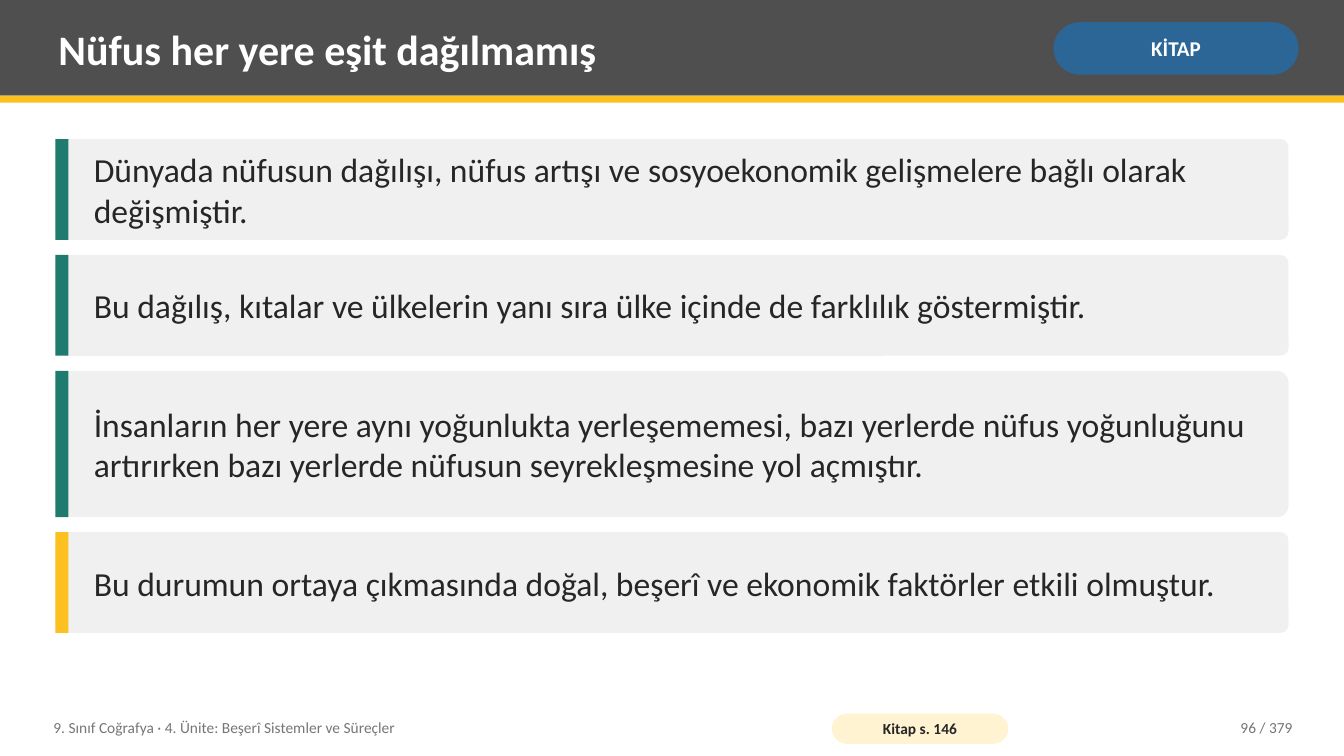
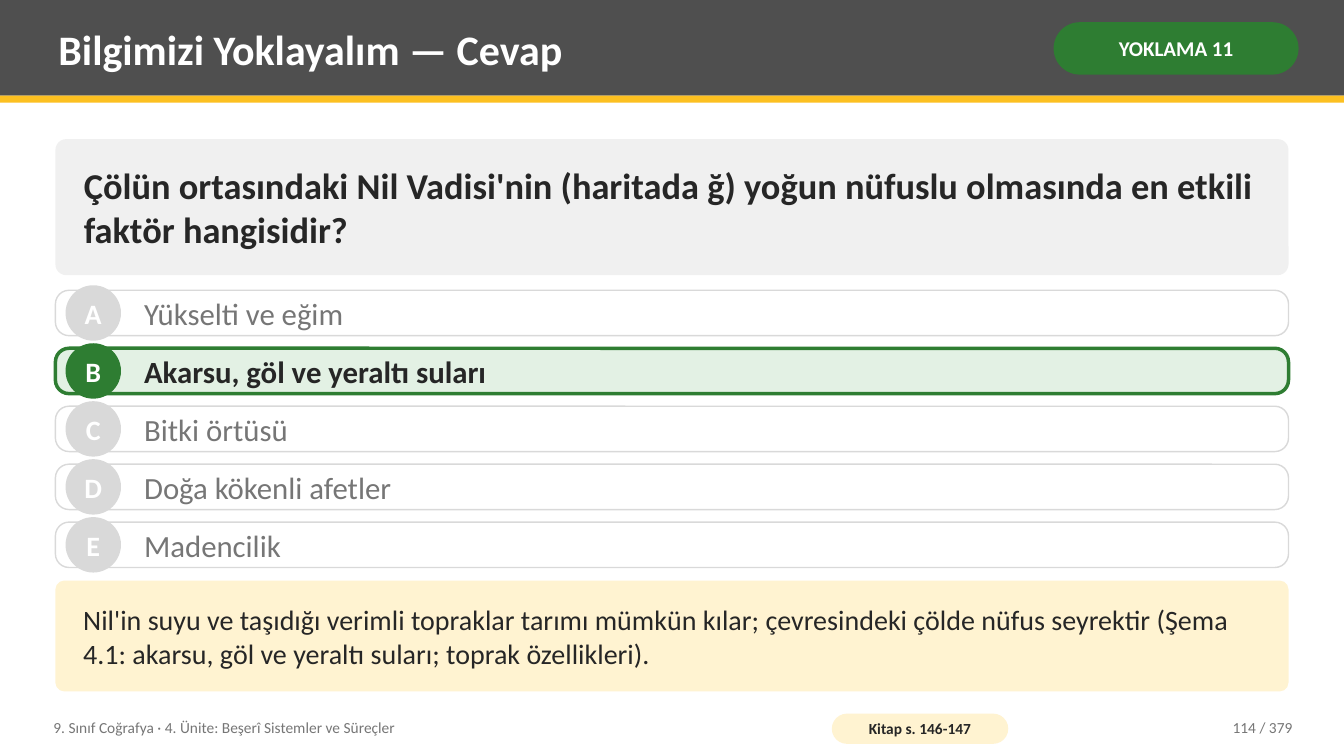
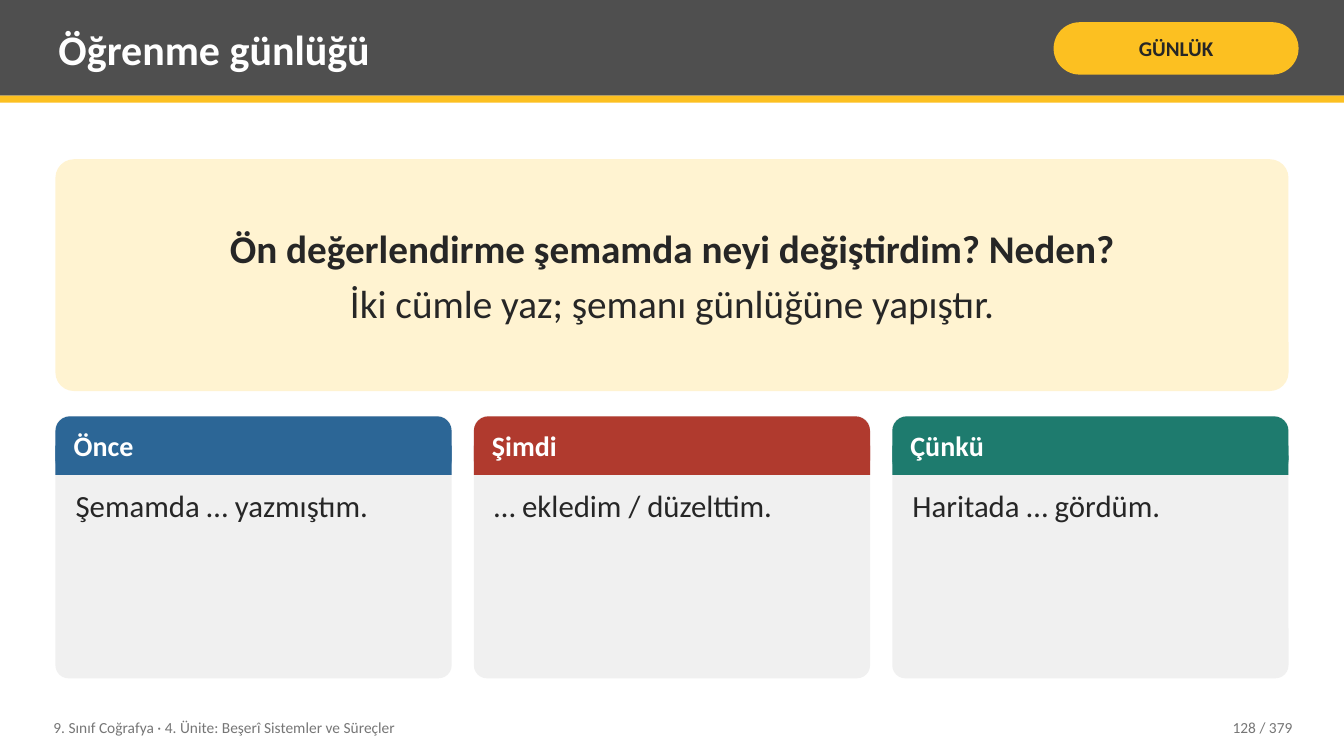
import pptx
import pptx.util
import pptx.dml.color
import pptx.enum.shapes
import pptx.enum.text

Inches, Pt = pptx.util.Inches, pptx.util.Pt
Kind = pptx.enum.shapes.MSO_SHAPE
Align = pptx.enum.text.PP_ALIGN
Anchor = pptx.enum.text.MSO_ANCHOR

WIDE, HIGH = 13.33, 7.5
LEFT, SPAN = 0.55, 12.23
FONT = "Calibri"
DARK, INK, MUTED, PALE = "4F4F4F", "262626", "767676", "F0F0F0"
WHITE, GREY, GOLD, CREAM = "FFFFFF", "D9D9D9", "FCC021", "FFF3D1"
BLUE, GREEN, MINT, TEAL, RED = "2C6696", "2E7D32", "E3F1E4", "1E7B6E", "B03A2E"
UNIT = "9. Sınıf Coğrafya · 4. Ünite: Beşerî Sistemler ve Süreçler"
TOTAL = 379


def paint(target, color):
    """Give a fill or line format a solid colour."""
    target.solid()
    target.fore_color.rgb = pptx.dml.color.RGBColor.from_string(color)


def apply(target, values):
    for name, value in values.items():
        setattr(target, name, value)


def place(at):
    return [Inches(n) for n in at]


def write(shape, lines, size, color=INK, bold=False, align=Align.LEFT,
          anchor=Anchor.MIDDLE, pad=(0.08, 0.04), wrap=True, after=0):
    """Fill a shape with text; each line is a string or a (string, bold) pair."""
    frame = shape.text_frame
    across, down = place(pad)
    apply(frame, {"margin_left": across, "margin_right": across,
                  "margin_top": down, "margin_bottom": down,
                  "word_wrap": wrap, "vertical_anchor": anchor})
    lines = [lines] if isinstance(lines, str) else lines
    for i, line in enumerate(lines):
        words, heavy = (line, bold) if isinstance(line, str) else line
        para = frame.paragraphs[0] if i == 0 else frame.add_paragraph()
        para.alignment = align
        if i < len(lines) - 1:
            para.space_after = Pt(after)
        run = para.add_run()
        run.text = words
        apply(run.font, {"name": FONT, "size": Pt(size), "bold": heavy})
        paint(run.font.fill, color)


def label(slide, at, lines, size, **style):
    write(slide.shapes.add_textbox(*place(at)), lines, size, **style)


def block(slide, at, fill, kind=Kind.RECTANGLE, round=None, line=None):
    """Draw a preset shape; round is its corner share, line is (colour, width)."""
    if round is not None:
        kind = Kind.ROUNDED_RECTANGLE
    shape = slide.shapes.add_shape(kind, *place(at))
    shape.shadow.inherit = False
    if round is not None:
        shape.adjustments[0] = round
    paint(shape.fill, fill)
    if line:
        paint(shape.line.fill, line[0])
        shape.line.width = Pt(line[1])
    else:
        shape.line.fill.background()
    return shape


def pill(slide, at, fill, text, size, color, pad):
    write(block(slide, at, fill, round=0.5), text, size, color=color,
          bold=True, align=Align.CENTER, pad=pad)


def start(deck, title, tag, fill, color=WHITE):
    """Add a slide with the title band and its tag."""
    slide = deck.slides.add_slide(deck.slide_layouts[6])
    paint(slide.background.fill, WHITE)
    block(slide, (0, 0, WIDE, 0.95), DARK)
    block(slide, (0, 0.95, WIDE, 0.07), GOLD)
    label(slide, (0.5, 0.07, 9.75, 0.82), title, 30, color=WHITE, bold=True)
    pill(slide, (10.45, 0.22, 2.43, 0.52), fill, tag, 15, color, (0.05, 0.02))
    return slide


def finish(slide, number, pages=None):
    """Add the footer, with the book pages if there are any."""
    label(slide, (0.45, 7.04, 7.6, 0.36), UNIT, 11, color=MUTED)
    if pages:
        pill(slide, (8.25, 7.08, 1.75, 0.3), CREAM, f"Kitap s. {pages}", 11,
             INK, (0.04, 0))
    label(slide, (11.3, 7.04, 1.6, 0.36), f"{number} / {TOTAL}", 11,
          color=MUTED, align=Align.RIGHT)


def panel(slide, top, high, fill, lines, size, **style):
    """Draw a full-width rounded box that holds text."""
    write(block(slide, (LEFT, top, SPAN, high), fill, round=0.08),
          lines, size, **style)


def point(slide, top, high, accent, text):
    block(slide, (LEFT, top, SPAN, high), PALE, round=0.08)
    block(slide, (LEFT, top, 0.13, high), accent)
    label(slide, (LEFT + 0.3, top, SPAN - 0.45, high), text, 24)


def choice(slide, top, letter, text, right):
    high, dot = 0.45, 0.55
    accent = GREEN if right else GREY
    block(slide, (LEFT, top, SPAN, high), MINT if right else WHITE, round=0.3,
          line=(accent, 2.5 if right else 1))
    disc = block(slide, (LEFT + 0.1, top - (dot - high) / 2, dot, dot), accent,
                 kind=Kind.OVAL)
    write(disc, letter, 20, color=WHITE, bold=True, align=Align.CENTER,
          pad=(0, 0), wrap=False)
    label(slide, (LEFT + 0.8, top, SPAN - 1, high), text, 22,
          color=INK if right else MUTED, bold=right)


def card(slide, left, wide, color, head, body):
    top, high, cap = 4.13, 2.6, 0.58
    block(slide, (left, top, wide, high), PALE, round=0.05)
    block(slide, (left, top, wide, cap), color, round=0.25)
    block(slide, (left, top + cap / 2, wide, cap / 2), color)
    label(slide, (left + 0.1, top, wide - 0.2, cap), head, 20, color=WHITE,
          bold=True)
    label(slide, (left + 0.12, top + cap + 0.08, wide - 0.24, high - cap - 0.16),
          body, 22, anchor=Anchor.TOP)


def spread(deck):
    slide = start(deck, "Nüfus her yere eşit dağılmamış", "KİTAP", BLUE)
    top = 1.38
    for high, accent, text in (
        (1, TEAL, "Dünyada nüfusun dağılışı, nüfus artışı ve sosyoekonomik "
                  "gelişmelere bağlı olarak değişmiştir."),
        (1, TEAL, "Bu dağılış, kıtalar ve ülkelerin yanı sıra ülke içinde de "
                  "farklılık göstermiştir."),
        (1.45, TEAL, "İnsanların her yere aynı yoğunlukta yerleşememesi, bazı "
                     "yerlerde nüfus yoğunluğunu artırırken bazı yerlerde "
                     "nüfusun seyrekleşmesine yol açmıştır."),
        (1, GOLD, "Bu durumun ortaya çıkmasında doğal, beşerî ve ekonomik "
                  "faktörler etkili olmuştur."),
    ):
        point(slide, top, high, accent, text)
        top += high + 0.15
    finish(slide, 96, "146")


def answer(deck):
    slide = start(deck, "Bilgimizi Yoklayalım — Cevap", "YOKLAMA 11", GREEN)
    pad = (0.25, 0.08)
    panel(slide, 1.38, 1.35, PALE,
          "Çölün ortasındaki Nil Vadisi'nin (haritada ğ) yoğun nüfuslu "
          "olmasında en etkili faktör hangisidir?", 26, bold=True, pad=pad)
    options = ("Yükselti ve eğim", "Akarsu, göl ve yeraltı suları",
               "Bitki örtüsü", "Doğa kökenli afetler", "Madencilik")
    first, last = 2.88, 5.18
    step = (last - first) / (len(options) - 1)
    for i, (letter, text) in enumerate(zip("ABCDE", options)):
        choice(slide, first + i * step, letter, text, letter == "B")
    panel(slide, 5.76, 1.1, CREAM,
          "Nil'in suyu ve taşıdığı verimli topraklar tarımı mümkün kılar; "
          "çevresindeki çölde nüfus seyrektir (Şema 4.1: akarsu, göl ve "
          "yeraltı suları; toprak özellikleri).", 20, pad=pad)
    finish(slide, 114, "146-147")


def journal(deck):
    slide = start(deck, "Öğrenme günlüğü", "GÜNLÜK", GOLD, INK)
    panel(slide, 1.58, 2.3, CREAM,
          [("Ön değerlendirme şemamda neyi değiştirdim? Neden?", True),
           ("İki cümle yaz; şemanı günlüğüne yapıştır.", False)],
          28, align=Align.CENTER, pad=(0.14, 0.08), after=6)
    cards = ((BLUE, "Önce", "Şemamda … yazmıştım."),
             (RED, "Şimdi", "… ekledim / düzelttim."),
             (TEAL, "Çünkü", "Haritada … gördüm."))
    gap = 0.22
    wide = (SPAN - gap * (len(cards) - 1)) / len(cards)
    for i, (color, head, body) in enumerate(cards):
        card(slide, LEFT + i * (wide + gap), wide, color, head, body)
    finish(slide, 128)


def main():
    deck = pptx.Presentation()
    deck.slide_width, deck.slide_height = place((WIDE, HIGH))
    spread(deck)
    answer(deck)
    journal(deck)
    deck.save("out.pptx")


if __name__ == "__main__":
    main()
